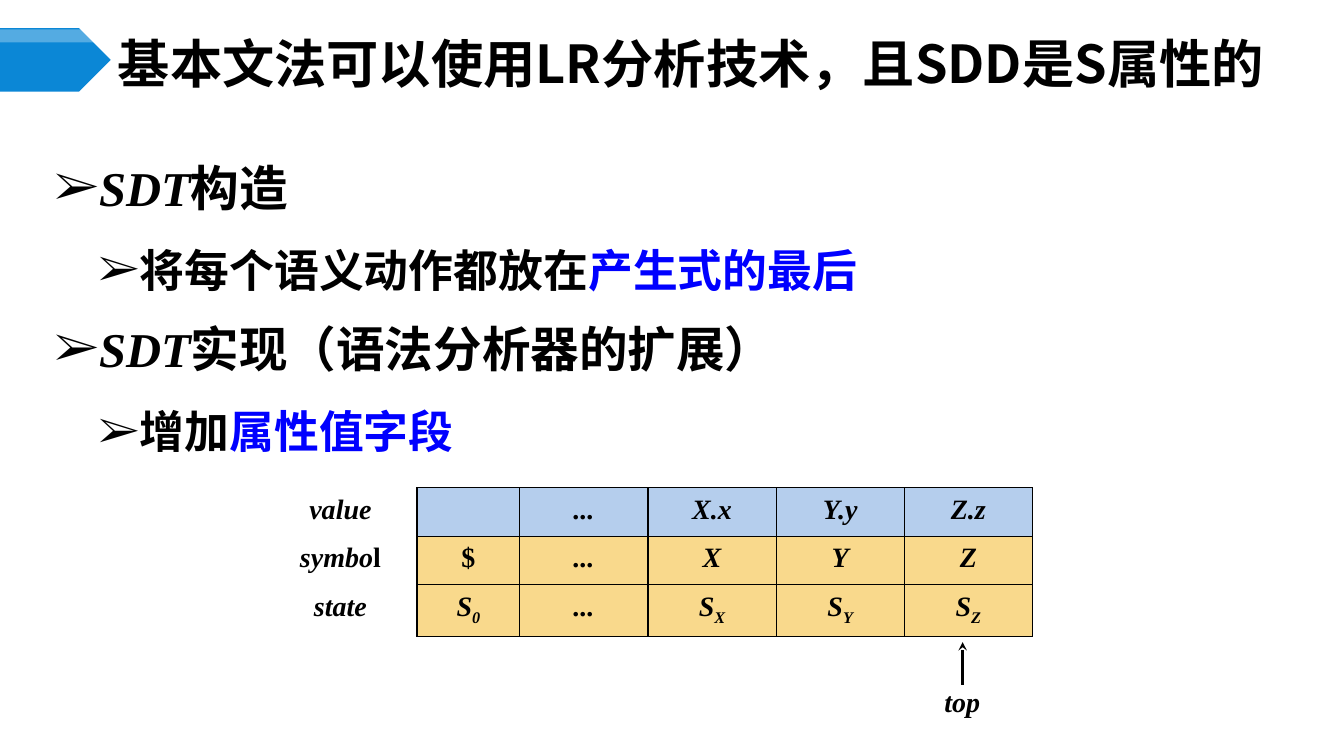
"""Build the slide on LR parsing with an S-attributed SDD."""
import pptx
import pptx.dml.color
import pptx.enum.shapes
import pptx.enum.text
import pptx.oxml
import pptx.oxml.ns
import pptx.util
from lxml import etree

Cm, Pt = pptx.util.Cm, pptx.util.Pt
RGBColor = pptx.dml.color.RGBColor
Shapes = pptx.enum.shapes.MSO_SHAPE
Anchor = pptx.enum.text.MSO_ANCHOR
Align = pptx.enum.text.PP_ALIGN
qn = pptx.oxml.ns.qn

BLACK = RGBColor(0x00, 0x00, 0x00)
WHITE = RGBColor(0xFF, 0xFF, 0xFF)
KEYWORD_BLUE = RGBColor(0x00, 0x00, 0xFF)
BANNER_BLUE = RGBColor(0x0B, 0x87, 0xD6)
VALUE_BLUE = RGBColor(0xB5, 0xCE, 0xED)
STACK_YELLOW = RGBColor(0xF9, 0xD9, 0x8C)
CHINESE_FONT, LATIN_FONT = "Noto Sans CJK SC", "Times New Roman"

ITALIC = {"italic": True}
UPRIGHT = {"italic": False}
KEYWORD = {"color": KEYWORD_BLUE}
SUBSCRIPT = {"italic": True, "subscript": True}

TITLE = "基本文法可以使用LR分析技术，且SDD是S属性的"
POINTS = [
    (0, [("SDT", ITALIC), ("构造", {})]),
    (1, [("将每个语义动作都放在", {}), ("产生式的最后", KEYWORD)]),
    (0, [("SDT", ITALIC), ("实现（语法分析器的扩展）", {})]),
    (1, [("增加", {}), ("属性值字段", KEYWORD)]),
]
POINT_SIZES = [34.7, 32]
POINT_INDENTS = [Cm(1.02), Cm(2.13)]
HANGING = Cm(1.02)


def state(name):
    return [("S", ITALIC), (name, SUBSCRIPT)]


STACK = [
    (VALUE_BLUE, ["value", "", "...", "X.x", "Y.y", "Z.z"]),
    (STACK_YELLOW, [[("symbo", ITALIC), ("l", UPRIGHT)], [("$", UPRIGHT)], "...", "X", "Y", "Z"]),
    (STACK_YELLOW, ["state", state("0"), "...", state("X"), state("Y"), state("Z")]),
]
STACK_WIDTHS = [Cm(3.86), Cm(2.59)] + [Cm(3.23)] * 4
STACK_ROW = Cm(1.22)


def add_run(paragraph, text, size, latin=LATIN_FONT, italic=False, color=BLACK, subscript=False):
    run = paragraph.add_run()
    run.text = text
    for key, value in {"size": Pt(size), "name": latin, "bold": True, "italic": italic}.items():
        setattr(run.font, key, value)
    run.font.color.rgb = color
    properties = run.font._element
    if subscript:
        properties.set("baseline", "-25000")
    etree.SubElement(properties, qn("a:ea")).set("typeface", CHINESE_FONT)


def add_text_box(slide, place, wrap=True, anchor=Anchor.TOP):
    frame = slide.shapes.add_textbox(*place).text_frame
    settings = {"word_wrap": wrap, "vertical_anchor": anchor, "margin_left": Cm(0.18),
                "margin_right": Cm(0.18), "margin_top": Cm(0.1), "margin_bottom": Cm(0.1)}
    for key, value in settings.items():
        setattr(frame, key, value)
    return frame


def add_banner(slide):
    for top, height, color, alpha in [(0.71, 1.6, BANNER_BLUE, 100), (0.74, 0.33, WHITE, 30)]:
        shape = slide.shapes.add_shape(Shapes.PENTAGON, 0, Cm(top), Cm(2.79), Cm(height))
        shape.shadow.inherit = False
        shape.line.fill.background()
        shape.fill.solid()
        shape.fill.fore_color.rgb = color
        if alpha < 100:
            fill = shape._element.spPr.find(".//" + qn("a:srgbClr"))
            etree.SubElement(fill, qn("a:alpha")).set("val", str(alpha * 1000))


def add_points(slide):
    frame = add_text_box(slide, (Cm(1.19), Cm(3.56), Cm(32.66), Cm(11.94)))
    for index, (level, runs) in enumerate(POINTS):
        paragraph = frame.add_paragraph() if index else frame.paragraphs[0]
        properties = paragraph._p.get_or_add_pPr()
        properties.set("marL", str(POINT_INDENTS[level]))
        properties.set("indent", str(-HANGING))
        etree.SubElement(properties, qn("a:buFont")).set("typeface", LATIN_FONT)
        etree.SubElement(properties, qn("a:buChar")).set("char", "➢")
        settings = {"level": level, "line_spacing": Pt(50.7), "space_before": Pt(6.8 if index else 0)}
        for key, value in settings.items():
            setattr(paragraph, key, value)
        for text, style in runs:
            add_run(paragraph, text, POINT_SIZES[level], **style)


def add_border(cell, sides):
    properties = cell._tc.get_or_add_tcPr()
    for position, side in enumerate(sides):
        line = etree.Element(qn("a:" + side), w=str(Pt(1)))
        fill = etree.SubElement(line, qn("a:solidFill"))
        etree.SubElement(fill, qn("a:srgbClr")).set("val", str(BLACK))
        properties.insert(position, line)


def add_stack(slide):
    table = slide.shapes.add_table(len(STACK), len(STACK_WIDTHS), Cm(6.65), Cm(12.29),
                                   sum(STACK_WIDTHS), STACK_ROW * len(STACK)).table
    table.first_row = table.horz_banding = False
    for column, width in zip(table.columns, STACK_WIDTHS):
        column.width = width
    for row, (color, contents) in enumerate(STACK):
        table.rows[row].height = STACK_ROW
        for column, content in enumerate(contents):
            cell = table.cell(row, column)
            settings = {"margin_left": Cm(0.33), "margin_right": Cm(0.33),
                        "margin_top": Cm(0.17), "margin_bottom": Cm(0.17)}
            for key, value in settings.items():
                setattr(cell, key, value)
            if column:
                cell.fill.solid()
                cell.fill.fore_color.rgb = color
            else:
                cell.fill.background()
            add_border(cell, ["lnL", "lnR", "lnT", "lnB"] if column else ["lnR"])
            paragraph = cell.text_frame.paragraphs[0]
            paragraph.alignment = Align.CENTER
            runs = [(content, ITALIC)] if isinstance(content, str) else content
            for text, style in runs:
                if text:
                    add_run(paragraph, text, 20, **style)
                else:
                    paragraph.font.size = Pt(12)


def add_top_pointer(slide):
    frame = add_text_box(slide, (Cm(23.55), Cm(17.12), Cm(1.83), Cm(1.12)), wrap=False)
    frame.margin_left = frame.margin_right = Cm(0.25)
    frame.margin_top = frame.margin_bottom = Cm(0.13)
    add_run(frame.paragraphs[0], "top", 20, italic=True)
    arrow = slide.shapes.add_connector(pptx.enum.shapes.MSO_CONNECTOR.STRAIGHT,
                                       Cm(24.26), Cm(17.25), Cm(24.26), Cm(16.18))
    arrow.line.color.rgb = BLACK
    arrow.line.width = Pt(2)
    etree.SubElement(arrow.line._get_or_add_ln(), qn("a:tailEnd")).set("type", "stealth")
    etree.SubElement(arrow._element.spPr, qn("a:effectLst"))


def main():
    presentation = pptx.Presentation()
    presentation.slide_width, presentation.slide_height = Cm(33.87), Cm(19.05)
    slide = presentation.slides.add_slide(presentation.slide_layouts[6])
    add_banner(slide)
    add_points(slide)
    title = add_text_box(slide, (Cm(2.79), Cm(0.99), Cm(31.06), Cm(1.47)), anchor=Anchor.MIDDLE)
    title.paragraphs[0].line_spacing = 0.82
    add_run(title.paragraphs[0], TITLE, 37.3, latin=CHINESE_FONT)
    add_stack(slide)
    add_top_pointer(slide)
    presentation.save("out.pptx")


if __name__ == "__main__":
    main()
